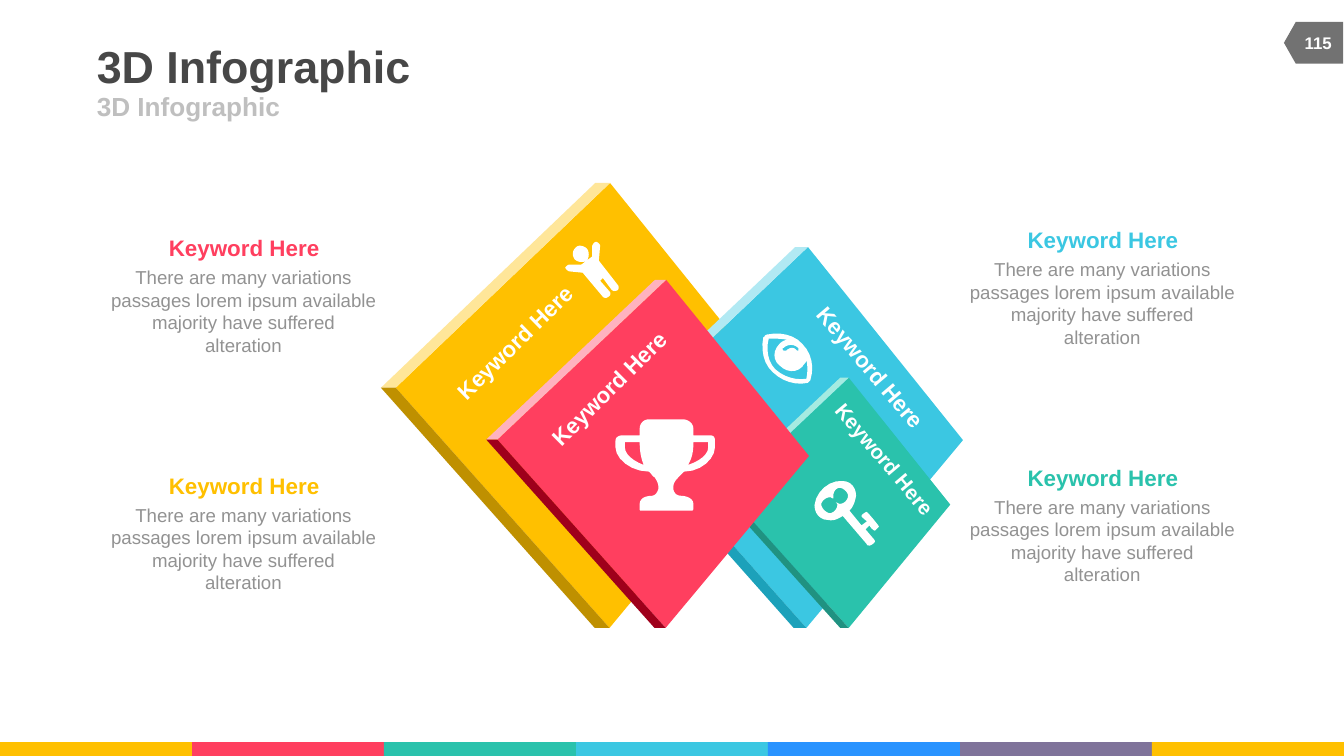
from dataclasses import dataclass
from math import cos, radians, sin
from typing import Any

from pptx import Presentation
from pptx.dml.color import RGBColor
from pptx.enum.shapes import MSO_SHAPE as Preset
from pptx.enum.text import MSO_ANCHOR as Anchor, PP_ALIGN as Align
from pptx.util import Cm, Pt

AMBER = RGBColor(0xFF, 0xC0, 0x00)
AMBER_LIT = RGBColor(0xFF, 0xE6, 0x99)
AMBER_SHADE = RGBColor(0xBF, 0x90, 0x00)
RED = RGBColor(0xFF, 0x3F, 0x5F)
RED_LIT = RGBColor(0xFF, 0xB2, 0xBF)
RED_SHADE = RGBColor(0x9F, 0x00, 0x1B)
TEAL = RGBColor(0x2A, 0xC2, 0xAC)
TEAL_LIT = RGBColor(0xA5, 0xEB, 0xE1)
TEAL_SHADE = RGBColor(0x20, 0x92, 0x81)
CYAN = RGBColor(0x3B, 0xC7, 0xE2)
CYAN_LIT = RGBColor(0xB1, 0xE9, 0xF3)
CYAN_SHADE = RGBColor(0x1C, 0xA1, 0xBA)
BLUE = RGBColor(0x29, 0x93, 0xFF)
PURPLE = RGBColor(0x7F, 0x73, 0x9A)
WHITE = RGBColor(0xFF, 0xFF, 0xFF)
INK = RGBColor(0x47, 0x47, 0x47)
TAG_GRAY = RGBColor(0x72, 0x72, 0x72)
BODY_GRAY = RGBColor(0x92, 0x92, 0x92)
SUBTITLE_GRAY = RGBColor(0xBF, 0xBF, 0xBF)

SLIDE_W, SLIDE_H = 25.4, 14.29
BAR_H = 0.26
KEYWORD = "Keyword Here"
BODY = ("There are many variations passages lorem ipsum available "
        "majority have suffered\valteration")
ICON_UNIT = 0.0254  # cm for each step of the icon outlines
CURVE_STEPS = 6

Point = tuple[float, float]


@dataclass
class Block:
    """A tilted square; depth is how far its sides reach to the left."""
    top: Point
    right: Point
    bottom: Point
    left: Point
    depth: float
    front: RGBColor
    lit: RGBColor
    shade: RGBColor


@dataclass
class Label:
    left: float
    top: float
    turn: float
    width: float = 2.87
    height: float = 0.51
    size: int = 12


@dataclass
class Panel:
    left: float
    top: float
    color: RGBColor


@dataclass
class Icon:
    """Outline of M, L and C steps as seen after turning around the centre."""
    center: Point
    turn: float
    outline: str


BLOCKS = [
    Block((11.53, 3.46), (14.96, 7.72), (11.52, 11.87), (7.48, 7.33), 0.28,
          AMBER, AMBER_LIT, AMBER_SHADE),
    Block((15.27, 4.67), (18.2, 8.32), (15.24, 11.87), (11.79, 7.98), 0.24,
          CYAN, CYAN_LIT, CYAN_SHADE),
    Block((16.04, 7.14), (17.96, 9.54), (16.04, 11.87), (13.74, 9.31), 0.16,
          TEAL, TEAL_LIT, TEAL_SHADE),
    Block((12.59, 5.29), (15.29, 8.62), (12.58, 11.87), (9.4, 8.31), 0.21,
          RED, RED_LIT, RED_SHADE),
]
LABELS = [
    Label(8.28, 6.22, 315.7),
    Label(10.06, 7.09, 315.2),
    Label(15.01, 6.68, 49.8),
    Label(15.39, 8.43, 49.8, 2.64, 0.48, 11),
]
PANELS = [
    Panel(18.24, 4.28, CYAN),
    Panel(18.24, 8.77, TEAL),
    Panel(2.01, 4.43, RED),
    Panel(2.01, 8.92, AMBER),
]
TROPHY = Icon((495, 346), 0, """
    M 532 333 C 532 341 522 351 509 351 C 507 353 505 355 505 355
    C 502 358 501 360 501 363 C 501 365 502 369 507 369
    C 511 369 516 371 516 375 L 516 378 C 516 380 515 380 515 380 L 477 380
    C 476 380 476 380 476 378 L 476 375 C 476 371 480 369 485 369
    C 488 369 490 365 490 363 C 490 360 489 358 487 355
    C 486 355 485 353 483 351 C 469 351 458 341 458 333 L 458 328
    C 458 325 461 324 463 324 L 476 324 L 476 319 C 476 315 479 312 483 312
    L 508 312 C 512 312 516 315 516 319 L 516 324 L 528 324
    C 531 324 532 325 532 328
    M 476 329 L 465 329 L 465 333 C 465 338 471 343 479 346
    C 477 341 476 336 476 329
    M 527 329 L 516 329 C 516 336 515 341 512 346 C 521 343 527 338 527 333""")
KEY = Icon((630, 381), 4.3, """
    M 651 395 C 650 395 647 392 647 391 L 644 394 L 650 401
    C 650 401 651 402 651 403 C 651 404 648 406 647 406
    C 646 406 645 406 645 405 L 627 384 C 624 386 620 388 616 387
    C 610 387 606 382 606 376 C 607 366 617 357 627 358
    C 633 358 637 363 637 369 C 636 374 635 377 632 380 L 641 391 L 645 388
    C 644 387 641 385 641 384 C 641 383 644 381 645 381
    C 645 381 645 381 646 382 C 646 382 654 391 654 392
    C 654 392 651 395 651 395
    M 625 363 C 622 363 620 366 620 369 C 620 369 620 370 620 371
    C 619 371 618 370 618 370 C 615 370 612 372 611 375
    C 611 378 614 381 617 382 C 620 382 623 379 623 376
    C 623 375 623 375 622 374 C 623 374 624 375 625 375
    C 628 375 631 372 631 369 C 631 367 629 364 625 363""")
EYE = Icon((586, 266.5), 45.9, """
    M 601 285 C 592 287 582 284 575 277 C 568 271 566 260 568 251
    C 569 251 569 250 569 250 C 570 249 571 249 571 249
    C 580 247 591 249 597 256 C 604 263 606 273 603 283
    C 603 283 603 283 602 284 C 602 284 601 285 601 285
    M 600 268 C 600 270 598 271 597 273 C 592 278 585 277 580 272
    C 575 268 575 261 580 256 C 582 254 584 253 586 253
    C 581 252 576 252 572 252 C 570 260 571 269 577 275
    C 584 281 592 283 600 282 C 601 277 601 272 600 268
    M 594 259 C 591 256 586 256 583 259 C 582 259 582 260 583 261
    C 583 261 584 261 585 261 C 587 259 590 258 592 260
    C 593 261 593 261 594 261 C 594 260 594 259 594 259""")
PERSON = Icon((442.5, 201), 320.7, """
    M 446 194 L 460 212 C 461 213 461 215 460 216 C 458 217 456 217 455 215
    L 449 207 L 447 209 L 454 217 C 455 218 455 220 453 221
    C 452 222 450 222 449 221 L 434 203 L 424 202 C 423 202 421 200 421 199
    C 422 198 423 197 424 197 L 433 197 L 441 191 L 441 183
    C 442 181 443 180 444 180 C 445 180 447 182 447 183
    M 437 194 C 434 196 430 195 428 193 C 426 190 426 187 429 184
    C 431 182 435 183 437 185 C 439 187 439 192 437 194""")


def paint(shape: Any, color: RGBColor) -> None:
    shape.shadow.inherit = False
    shape.fill.solid()
    shape.fill.fore_color.rgb = color
    shape.line.fill.background()


def add_text(shapes: Any, text: str, left: float, top: float, width: float,
             height: float, size: int, color: RGBColor, bold: bool = True,
             align: Any = Align.CENTER, anchor: Any = Anchor.TOP,
             wrap: bool = False, turn: float = 0) -> None:
    box = shapes.add_textbox(Cm(left), Cm(top), Cm(width), Cm(height))
    box.rotation = turn
    frame_format = dict(margin_left=0, margin_top=0, margin_right=0, margin_bottom=0,
                        word_wrap=wrap, vertical_anchor=anchor)
    for name, value in frame_format.items():
        setattr(box.text_frame, name, value)
    paragraph = box.text_frame.paragraphs[0]
    paragraph.text = text
    paragraph.alignment = align
    for name, value in dict(name="Arial", size=Pt(size), bold=bold).items():
        setattr(paragraph.font, name, value)
    paragraph.font.color.rgb = color


def add_outline(shapes: Any, contours: list[list[Point]], color: RGBColor) -> Any:
    """Draw closed contours, given in cm, as one freeform."""
    builder = None
    for contour in contours:
        first, *others = [(Cm(x), Cm(y)) for x, y in contour]
        if builder is None:
            builder = shapes.build_freeform(*first)
        else:
            builder.move_to(*first)
        builder.add_line_segments(others, close=True)
    outline = builder.convert_to_shape()
    paint(outline, color)
    return outline


def add_block(shapes: Any, block: Block) -> None:
    def back(point: Point) -> Point:
        return point[0] - block.depth, point[1]

    top, left, bottom = block.top, block.left, block.bottom
    faces = [
        ([top, block.right, bottom, left], block.front),
        ([top, left, back(left), back(top)], block.lit),
        ([left, bottom, back(bottom), back(left)], block.shade),
    ]
    group = shapes.add_group_shape()
    for corners, color in faces:
        add_outline(group.shapes, [corners], color)


def curve(points: list[Point]) -> list[Point]:
    """Points along a cubic curve, after its start."""
    samples = []
    for step in range(1, CURVE_STEPS + 1):
        t = step / CURVE_STEPS
        weights = ((1 - t) ** 3, 3 * t * (1 - t) ** 2, 3 * t * t * (1 - t), t ** 3)
        samples.append((sum(w * x for w, (x, _) in zip(weights, points)),
                        sum(w * y for w, (_, y) in zip(weights, points))))
    return samples


def add_icon(shapes: Any, icon: Icon) -> None:
    angle = radians(-icon.turn)
    cx, cy = icon.center

    def upright(x: float, y: float) -> Point:
        dx, dy = x - cx, y - cy
        return ((cx + dx * cos(angle) - dy * sin(angle)) * ICON_UNIT,
                (cy + dx * sin(angle) + dy * cos(angle)) * ICON_UNIT)

    contours: list[list[Point]] = []
    tokens = iter(icon.outline.split())
    for step in tokens:
        count = 3 if step == "C" else 1
        points = [upright(float(next(tokens)), float(next(tokens))) for _ in range(count)]
        if step == "M":
            contours.append(points)
        elif step == "L":
            contours[-1] += points
        else:
            contours[-1] += curve([contours[-1][-1], *points])
    add_outline(shapes, contours, WHITE).rotation = icon.turn


def add_panel(shapes: Any, panel: Panel) -> None:
    group = shapes.add_group_shape().shapes
    add_text(group, BODY, panel.left, panel.top + 0.6, 5.18, 1.7, 10, BODY_GRAY,
             bold=False, wrap=True)
    add_text(group, KEYWORD, panel.left + 1.17, panel.top, 2.87, 0.51, 12, panel.color)


def main() -> None:
    deck = Presentation()
    deck.slide_width, deck.slide_height = Cm(SLIDE_W), Cm(SLIDE_H)
    shapes = deck.slides.add_slide(deck.slide_layouts[6]).shapes

    # Colour bar along the bottom
    bar_colors = [AMBER, RED, TEAL, CYAN, BLUE, PURPLE, AMBER]
    bar_w = SLIDE_W / len(bar_colors)
    bar = shapes.add_group_shape().shapes
    for i, color in enumerate(bar_colors):
        paint(bar.add_shape(Preset.RECTANGLE, Cm(i * bar_w), Cm(SLIDE_H - BAR_H),
                            Cm(bar_w), Cm(BAR_H)), color)

    # Page number tag
    tag = shapes.add_shape(Preset.FLOWCHART_OFFPAGE_CONNECTOR,
                           Cm(24.43), Cm(0.25), Cm(0.79), Cm(1.12))
    tag.rotation = 90
    paint(tag, TAG_GRAY)
    add_text(shapes, "115", 24.38, 0.43, 1.07, 0.76, 9, WHITE, anchor=Anchor.MIDDLE)

    # Title and subtitle
    heading = dict(align=Align.LEFT, anchor=Anchor.MIDDLE, wrap=True)
    add_text(shapes, "3D Infographic", 1.83, 0.74, 15.67, 0.99, 24, INK, **heading)
    add_text(shapes, "3D Infographic", 1.83, 1.73, 11.43, 0.56, 14, SUBTITLE_GRAY, **heading)

    # Blocks with their labels and icons
    for block in BLOCKS:
        add_block(shapes, block)
    for label in LABELS:
        add_text(shapes, KEYWORD, label.left, label.top, label.width, label.height,
                 label.size, WHITE, align=Align.RIGHT, turn=label.turn)
    for icon in (TROPHY, KEY, EYE, PERSON):
        add_icon(shapes, icon)

    # Explanations on both sides
    for panel in PANELS:
        add_panel(shapes, panel)

    deck.save("out.pptx")


if __name__ == "__main__":
    main()
